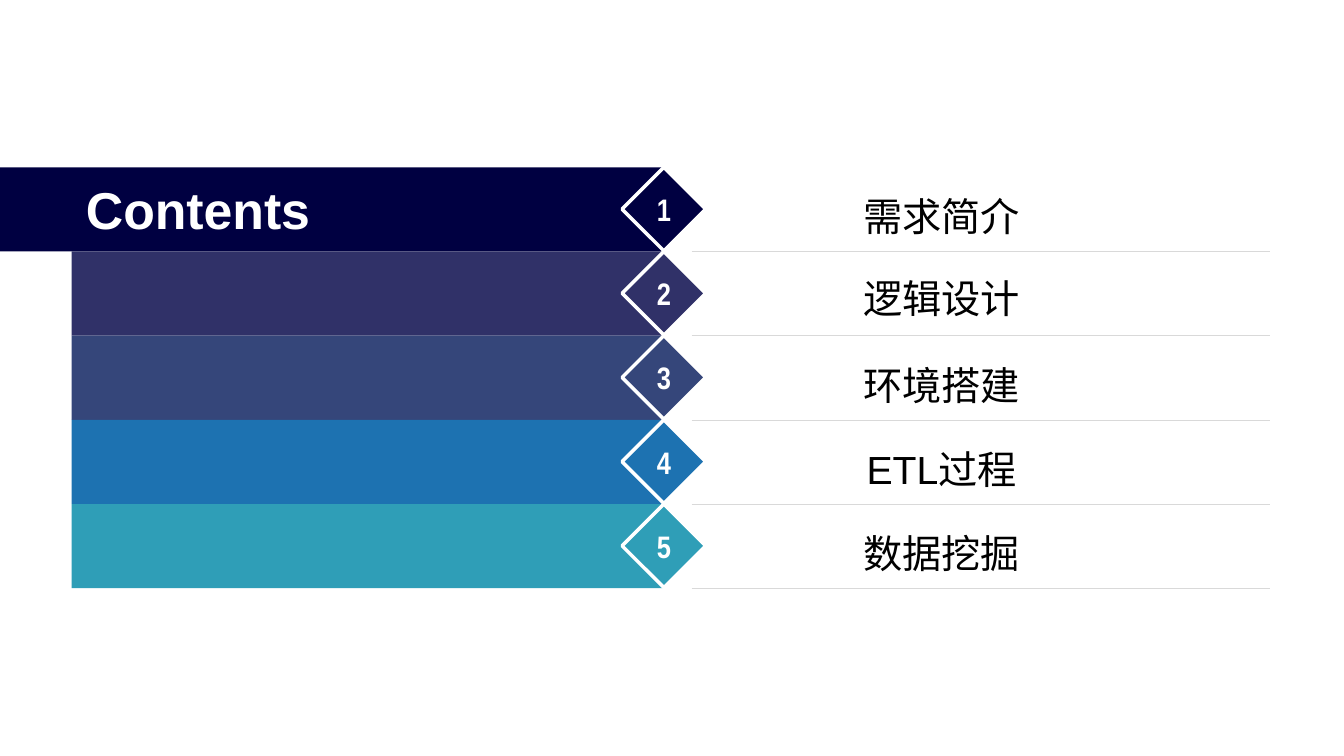
import pptx
import pptx.dml.color
import pptx.enum.shapes
import pptx.enum.text
import pptx.oxml
import pptx.util
from dataclasses import dataclass
from pptx.util import Inches


@dataclass(frozen=True)
class Theme:
    white: str = "FFFFFF"
    black: str = "000000"
    rule: str = "D9D9D9"
    bands: tuple = ("000041", "303168", "35467A", "1D72B1", "2F9EB7")
    font: str = "Arial"
    number_font: str = "Arial Narrow"
    title_size: float = 37
    label_size: float = 28
    number_size: float = 22.2


class ContentsSlide:
    def __init__(self, presentation, theme):
        self.theme = theme
        self.slide = presentation.slides.add_slide(presentation.slide_layouts[5])
        self.shapes = self.slide.shapes

    def color(self, value):
        return pptx.dml.color.RGBColor.from_string(value)

    def set_text(self, shape, text, size, color, font, bold=False, spacing=1.0):
        frame = shape.text_frame
        frame.text = text
        frame.auto_size = pptx.enum.text.MSO_AUTO_SIZE.NONE
        frame.word_wrap = False
        frame.vertical_anchor = pptx.enum.text.MSO_ANCHOR.MIDDLE
        frame.margin_left = frame.margin_right = 0
        frame.margin_top = frame.margin_bottom = 0
        paragraph = frame.paragraphs[0]
        paragraph.alignment = pptx.enum.text.PP_ALIGN.CENTER
        paragraph.line_spacing = spacing
        paragraph.font.name = font
        paragraph.font.size = pptx.util.Pt(size)
        paragraph.font.bold = bold
        paragraph.font.color.rgb = self.color(color)

    def block(self, kind, left, top, width, height, fill):
        shape = self.shapes.add_shape(
            kind, Inches(left), Inches(top), Inches(width), Inches(height))
        shape.shadow.inherit = False
        shape.fill.solid()
        shape.fill.fore_color.rgb = self.color(fill)
        shape.line.fill.background()
        return shape

    def band(self, left, top, right, height, fill):
        self.block(pptx.enum.shapes.MSO_SHAPE.RECTANGLE,
                   left, top, right - left, height, fill)

    def number(self, text, left, top, size, fill):
        diamond = self.block(pptx.enum.shapes.MSO_SHAPE.DIAMOND,
                             left, top, size, size, fill)
        diamond.line.color.rgb = self.color(self.theme.white)
        diamond.line.width = pptx.util.Pt(2.5)
        self.set_text(diamond, text, self.theme.number_size, self.theme.white,
                      self.theme.number_font, bold=True)

    def label(self, text, left, top, width, height, spacing):
        box = self.block(pptx.enum.shapes.MSO_SHAPE.RECTANGLE,
                         left, top, width, height, self.theme.white)
        self.set_text(box, text, self.theme.label_size, self.theme.black,
                      self.theme.font, spacing=spacing)

    def rule(self, left, right, top):
        line = self.shapes.add_connector(
            pptx.enum.shapes.MSO_CONNECTOR.STRAIGHT,
            Inches(left), Inches(top), Inches(right), Inches(top))
        line.line.color.rgb = self.color(self.theme.rule)
        line.line.width = pptx.util.Pt(0.25)
        line.element.spPr.append(pptx.oxml.parse_xml(
            '<a:effectLst xmlns:a="http://schemas.openxmlformats.org/drawingml/2006/main"/>'))

    def title(self, text, left, top, width, height):
        title = self.shapes.title
        title.left, title.top = Inches(left), Inches(top)
        title.width, title.height = Inches(width), Inches(height)
        self.set_text(title, text, self.theme.title_size, self.theme.white,
                      self.theme.font, bold=True)
        title.element.getparent().append(title.element)


def main():
    presentation = pptx.Presentation()
    presentation.slide_width = Inches(13.33)
    presentation.slide_height = Inches(7.5)
    theme = Theme()
    contents = ContentsSlide(presentation, theme)

    first_top, pitch, row_height = 1.66, 0.835, 0.83
    topics = (("需求简介", 1.3), ("逻辑设计", 1.2), ("环境搭建", 1.3),
              ("ETL过程", 1.3), ("数据挖掘", 1.3))
    tops = [first_top + pitch * row for row in range(len(topics))]

    for row, (top, fill) in enumerate(zip(tops, theme.bands)):
        contents.band(0.71 if row else 0, top, 6.59, pitch, fill)
    for row, (top, fill) in enumerate(zip(tops, theme.bands), start=1):
        contents.number(str(row), 6.17, top, row_height, fill)
    for top, (topic, spacing) in zip(tops, topics):
        contents.label(topic, 7.01, top + 0.09, 4.66, 0.65, spacing)
        contents.rule(6.86, 12.6, top + pitch)
    contents.title("Contents", 0.71, first_top, 2.51, row_height)

    presentation.save("out.pptx")


if __name__ == "__main__":
    main()
